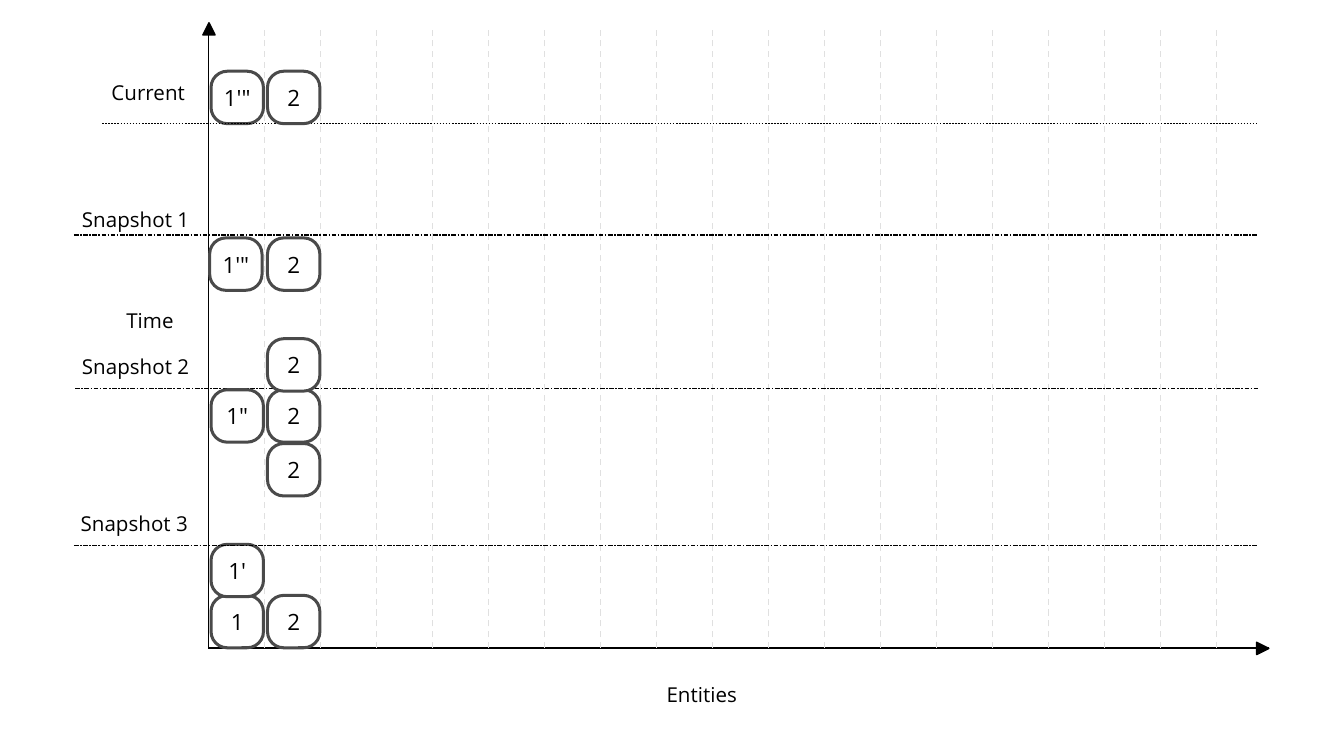
"""Draw a chart of entity versions over time with snapshot lines."""
from typing import NamedTuple

import pptx
import pptx.dml.color
import pptx.enum.dml
import pptx.enum.shapes
import pptx.enum.text
import pptx.oxml
import pptx.oxml.ns
import pptx.util

Inches = pptx.util.Inches
Pt = pptx.util.Pt
RGBColor = pptx.dml.color.RGBColor
Shape = pptx.enum.shapes.MSO_SHAPE
Align = pptx.enum.text.PP_ALIGN
Anchor = pptx.enum.text.MSO_ANCHOR

BLACK = RGBColor(0x00, 0x00, 0x00)
WHITE = RGBColor(0xFF, 0xFF, 0xFF)
GREY = RGBColor(0xE0, 0xE0, 0xE0)
SLATE = RGBColor(0x4A, 0x4A, 0x4A)

FONT = "Open Sans"
THIN = 0.82
SIDE = 0.39
HEAD = 0.09
COLS = 18
FIRST, LAST = 1.97, 9.05
LEFT, RIGHT = 1.57, 1.99


class Tile(NamedTuple):
    text: str
    x: float
    y: float


class Label(NamedTuple):
    text: str
    x: float
    y: float
    width: float


class Rule(NamedTuple):
    start: float
    end: float
    y: float
    dash: str = "sysDashDot"


LABELS = [
    Label("Time", 0.94, 2.27, 0.46),
    Label("Entities", 4.96, 5.05, 0.96),
    Label("Current", 0.83, 0.57, 0.7),
    Label("Snapshot 1", 0.61, 1.52, 0.92),
    Label("Snapshot 2", 0.61, 2.61, 0.92),
    Label("Snapshot 3", 0.6, 3.78, 0.92),
]
RULES = [
    Rule(0.55, 9.35, 4.06),
    Rule(0.76, 9.35, 0.92, "sysDot"),
    Rule(0.55, 9.36, 1.75),
    Rule(0.56, 9.36, 2.89),
]
UNDER = [
    Tile("1", LEFT, 4.43),
    Tile("2", RIGHT, 4.43),
    Tile("1'", LEFT, 4.05),
    Tile("1'\"", LEFT, 0.53),
]
OVER = [
    Tile("1\"", LEFT, 2.9),
    Tile("1'\"", 1.56, 1.77),
    Tile("2", RIGHT, 2.9),
    Tile("2", RIGHT, 1.77),
    Tile("2", RIGHT, 2.52),
    Tile("2", RIGHT, 0.53),
    Tile("2", RIGHT, 3.3),
]


def write(frame, text: str, *, size: float = 11, align=Align.LEFT,
          anchor=Anchor.TOP, space: float = 1.12, wrap: bool = True,
          foot: float = 0) -> None:
    """Fill a text frame with one formatted line."""
    frame.word_wrap = wrap
    frame.vertical_anchor = anchor
    frame.margin_left = frame.margin_right = frame.margin_top = 0
    frame.margin_bottom = Inches(foot)
    line = frame.paragraphs[0]
    line.text = text
    line.alignment = align
    line.line_spacing = space
    line.font.size = Pt(size)
    line.font.name = FONT
    line.font.color.rgb = BLACK


def draw_line(slide, x1: float, y1: float, x2: float, y2: float,
              color: RGBColor = BLACK, dash: str = "") -> None:
    """Draw a thin straight line."""
    line = slide.shapes.add_connector(
        pptx.enum.shapes.MSO_CONNECTOR.STRAIGHT,
        Inches(x1), Inches(y1), Inches(x2), Inches(y2))
    line.line.color.rgb = color
    line.line.width = Pt(THIN)
    props = line._element.spPr
    if dash:
        line.line.dash_style = pptx.enum.dml.MSO_LINE.DASH
        props.find(f".//{pptx.oxml.ns.qn('a:prstDash')}").set("val", dash)
    props.append(pptx.oxml.parse_xml(
        f"<a:effectLst {pptx.oxml.ns.nsdecls('a')}/>"))


def draw_shape(slide, kind, x: float, y: float, side: float,
               fill: RGBColor, edge: RGBColor, width: float):
    """Draw a square preset shape and return it."""
    shape = slide.shapes.add_shape(
        kind, Inches(x), Inches(y), Inches(side), Inches(side))
    shape.shadow.inherit = False
    shape.fill.solid()
    shape.fill.fore_color.rgb = fill
    shape.line.color.rgb = edge
    shape.line.width = Pt(width)
    return shape


def draw_tile(slide, tile: Tile) -> None:
    """Draw a rounded tile with its version mark."""
    shape = draw_shape(slide, Shape.ROUNDED_RECTANGLE, tile.x, tile.y,
                       SIDE, WHITE, SLATE, 1.62)
    shape.adjustments[0] = 0.31
    write(shape.text_frame, tile.text, size=12, align=Align.CENTER,
          anchor=Anchor.MIDDLE, space=1.11, wrap=False, foot=0.02)


def draw_head(slide, x: float, y: float, turn: float = 0) -> None:
    """Draw the arrowhead of an axis."""
    head = draw_shape(slide, Shape.ISOSCELES_TRIANGLE, x, y,
                      HEAD, BLACK, BLACK, THIN)
    head.rotation = turn


def draw_label(slide, label: Label) -> None:
    """Draw a plain text label."""
    box = slide.shapes.add_textbox(
        Inches(label.x), Inches(label.y), Inches(label.width), Inches(0.21))
    write(box.text_frame, label.text)


def main() -> None:
    """Build the slide and save it."""
    deck = pptx.Presentation()
    deck.slide_width = Inches(10)
    deck.slide_height = Inches(10) * 9 // 16
    slide = deck.slides.add_slide(deck.slide_layouts[6])

    draw_line(slide, 1.55, 0.17, 1.55, 4.83)
    draw_head(slide, 1.51, 0.17)
    draw_line(slide, 1.55, 4.82, 9.44, 4.82)
    draw_head(slide, 9.35, 4.78, turn=90)
    step = (LAST - FIRST) / (COLS - 1)
    for col in range(COLS):
        x = FIRST + col * step
        draw_line(slide, x, 4.82, x, 0.22, GREY, "dash")

    for tile in UNDER:
        draw_tile(slide, tile)
    for label in LABELS:
        draw_label(slide, label)
    for rule in RULES:
        draw_line(slide, rule.start, rule.y, rule.end, rule.y, dash=rule.dash)
    for tile in OVER:
        draw_tile(slide, tile)

    deck.save("out.pptx")


if __name__ == "__main__":
    main()
